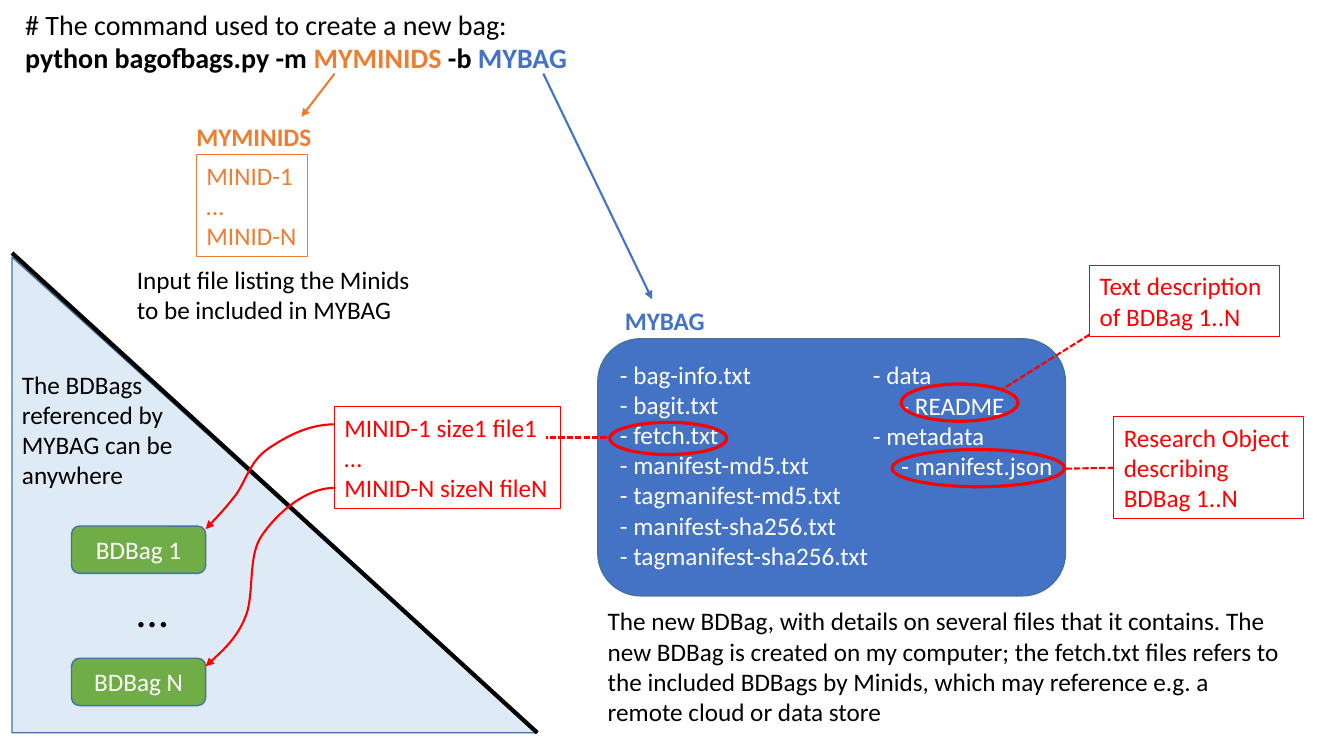
from pptx import Presentation
from pptx import util as u
from pptx.dml.color import RGBColor
from pptx.enum import dml, shapes, text
from pptx.oxml import ns, xmlchemy

Pt = u.Pt
COLORS = {
    "black": "000000", "white": "FFFFFF", "red": "FF0000", "orange": "ED7D31",
    "blue": "4472C4", "green": "70AD47", "pale": "DEEBF7", "edge": "43739E",
}
SHAPE = shapes.MSO_SHAPE


def color(name):
    return RGBColor.from_string(COLORS[name])


def apply(target, values):
    for name, value in values.items():
        setattr(target, name, value)


class Sketch:
    font = {"name": "Calibri", "size": Pt(18), "bold": False}

    def __init__(self, slide):
        self.slide = slide

    def set_text(self, shape, paragraphs, ink="black", wrap=True, center=False,
                 middle=False, **font):
        """Each paragraph is a string or a list of (text, format) runs."""
        frame = shape.text_frame
        apply(frame, {
            "word_wrap": wrap, "auto_size": text.MSO_AUTO_SIZE.NONE,
            "vertical_anchor": text.MSO_ANCHOR.MIDDLE if middle else text.MSO_ANCHOR.TOP,
        })
        for index, content in enumerate(paragraphs):
            paragraph = frame.add_paragraph() if index else frame.paragraphs[0]
            apply(paragraph, {
                "alignment": text.PP_ALIGN.CENTER if center else text.PP_ALIGN.LEFT,
                "space_before": Pt(0), "line_spacing": 1.0,
            })
            runs = [(content, {})] if isinstance(content, str) else content
            for words, values in runs:
                if words == "\v":
                    paragraph.add_line_break()
                    continue
                run = paragraph.add_run()
                run.text = words
                values = {**self.font, **font, "ink": ink, **values}
                run.font.color.rgb = color(values.pop("ink"))
                apply(run.font, values)
        return shape

    def textbox(self, box, paragraphs, **style):
        shape = self.slide.shapes.add_textbox(*map(Pt, box))
        return self.set_text(shape, paragraphs, **style)

    def placeholder(self, index, box, paragraphs, indents=(), **style):
        shape = self.slide.placeholders[index]
        apply(shape, dict(zip(("left", "top", "width", "height"), map(Pt, box))))
        self.slide.shapes._spTree.append(shape._element)
        self.set_text(shape, paragraphs, **style)
        for paragraph, indent in zip(shape.text_frame.paragraphs, indents):
            properties = paragraph._p.get_or_add_pPr()
            properties.set("marL", str(Pt(indent)))
            properties.set("indent", "0")
            properties.append(xmlchemy.OxmlElement("a:buNone"))

    def outline(self, shape, ink, width, dashed=False, arrow=False):
        shape.line.color.rgb = color(ink)
        shape.line.width = Pt(width)
        if dashed:
            shape.line.dash_style = dml.MSO_LINE.SQUARE_DOT
        if arrow:
            head = xmlchemy.OxmlElement("a:tailEnd")
            head.set("type", "triangle")
            shape.line._get_or_add_ln().append(head)

    def shape(self, kind, box, fill=None, line="edge", width=1, paragraphs=(), **style):
        shape = self.slide.shapes.add_shape(kind, *map(Pt, box))
        shape.shadow.inherit = False
        if fill:
            shape.fill.solid()
            shape.fill.fore_color.rgb = color(fill)
        else:
            shape.fill.background()
        self.outline(shape, line, width)
        self.set_text(shape, paragraphs, **style)

    def note(self, box, paragraphs, ink="red", fill=None, wrap=True):
        self.shape(SHAPE.RECTANGLE, box, fill, ink, 0.75, paragraphs,
                   ink=ink, wrap=wrap, middle=True)

    def ring(self, box):
        self.shape(SHAPE.OVAL, box, line="red", width=2.25)

    def line(self, ends, ink, width=1.5, **style):
        shape = self.slide.shapes.add_connector(
            shapes.MSO_CONNECTOR.STRAIGHT, *map(Pt, ends))
        self.outline(shape, ink, width, **style)
        shape._element.spPr.append(xmlchemy.OxmlElement("a:effectLst"))

    def curve(self, points, ink):
        """Draw cubic curves: a start, then three points for each curve."""
        start, *rest = [(Pt(x), Pt(y)) for x, y in points]
        builder = self.slide.shapes.build_freeform(*start)
        builder.add_line_segments(rest, close=False)
        shape = builder.convert_to_shape()
        segments = list(shape._element.iter(ns.qn("a:lnTo")))
        for first in range(0, len(segments), 3):
            cubic = xmlchemy.OxmlElement("a:cubicBezTo")
            segments[first].addprevious(cubic)
            for segment in segments[first:first + 3]:
                cubic.append(segment[0])
                segment.getparent().remove(segment)
        shape.shadow.inherit = False
        shape.fill.background()
        self.outline(shape, ink, 1.5, arrow=True)


presentation = Presentation()
presentation.slide_width, presentation.slide_height = Pt(960), Pt(540)
sketch = Sketch(presentation.slides.add_slide(presentation.slide_layouts[3]))

# Command
sketch.placeholder(0, (10.8, 1.4, 405.4, 55.4), [[
    ("# The command used to create a new bag:", {"bold": False}), ("\v", {}),
    ("python bagofbags.py -m ", {}), ("MYMINIDS", {"ink": "orange"}),
    (" -b ", {}), ("MYBAG", {"ink": "blue"}),
]], size=Pt(20), bold=True, wrap=False)

# Referenced bags
sketch.shape(SHAPE.RIGHT_TRIANGLE, (8.6, 183.6, 375.1, 339.8), "pale")
for name, top in (("BDBag 1", 375.8), ("BDBag N", 470.2)):
    sketch.shape(SHAPE.ROUNDED_RECTANGLE, (51.1, top, 95.8, 33.8), "green",
                 paragraphs=[name], ink="white", center=True, middle=True)
sketch.textbox((90.7, 412.6, 36.7, 46), ["…"], size=Pt(32), wrap=False)
sketch.textbox((8.6, 260, 138.2, 94.3), [[
    ("The BDBags", {}), ("\v", {}), ("referenced by MYBAG can be anywhere", {})]])

# New bag and its files
sketch.shape(SHAPE.ROUNDED_RECTANGLE, (427, 242, 334, 183.6), "blue")
sketch.placeholder(1, (435.6, 252.7, 193.7, 159.8), [
    "- bag-info.txt", "- bagit.txt", "- fetch.txt", "- manifest-md5.txt",
    "- tagmanifest-md5.txt", "- manifest-sha256.txt", "- tagmanifest-sha256.txt",
], indents=[0] * 7, ink="white", wrap=False)
sketch.placeholder(2, (616.3, 253.4, 144, 94.3), [
    "- data", "- README", "- metadata", "- manifest.json",
], indents=[0, 20.4, 0, 20.4], ink="white")
sketch.textbox((439.2, 214.6, 72, 28.8), ["MYBAG"], ink="blue", bold=True)
sketch.textbox((427, 429.1, 494.6, 94.3), [
    "The new BDBag, with details on several files that it contains. The new BDBag "
    "is created on my computer; the fetch.txt files refers to the included BDBags "
    "by Minids, which may reference e.g. a remote cloud or data store"])

# Input file
sketch.note((140.4, 110.2, 79.2, 72.7), ["MINID-1", "…", "MINID-N"], "orange", wrap=False)
sketch.textbox((133.2, 82.8, 97.9, 28.8), ["MYMINIDS"], ink="orange", bold=True)
sketch.textbox((90.7, 185, 215.3, 51.1),
               ["Input file listing the Minids to be included in MYBAG"])
sketch.line((239, 52.6, 215.3, 83.5), "orange", arrow=True)
sketch.line((388.1, 52.6, 465.8, 213.8), "blue", arrow=True)

# Notes on single files
for box in ((435.6, 301.7, 83.5, 23), (643.7, 274.3, 83.5, 26.6),
            (637.2, 321.1, 123.1, 26.6)):
    sketch.ring(box)
sketch.note((795.6, 297.4, 135.4, 72.7), ["Research Object describing BDBag 1..N"])
sketch.note((778.3, 189.4, 135.4, 51.1), ["Text description of BDBag 1..N"])
sketch.note((239, 290.2, 161.3, 72.7),
            ["MINID-1 size1 file1", "…", "MINID-N sizeN fileN"], fill="white", wrap=False)
for ends in ((433.4, 312.5, 390.2, 312.5), (795.6, 334.1, 761, 334.8),
             (778.3, 239, 715, 278.6)):
    sketch.line(ends, "red", dashed=True)

# Border of the referenced bags and the links across it
sketch.line((8.6, 180.7, 383.8, 523.4), "black", 3)
sketch.curve([(239, 303.1), (218.9, 303.1), (202.3, 313.2), (190.8, 321.1),
              (178.6, 329.8), (175.7, 343.4), (168.5, 353.5),
              (161.3, 362.9), (146.9, 378), (146.9, 378)], "red")
sketch.curve([(239.8, 348.5), (218.9, 347.8), (198, 366.5), (187.2, 382.3),
              (176.4, 397.4), (182.2, 425.5), (175, 441.4),
              (168.5, 457.2), (146.9, 475.9), (146.9, 475.9)], "red")

presentation.save("out.pptx")
